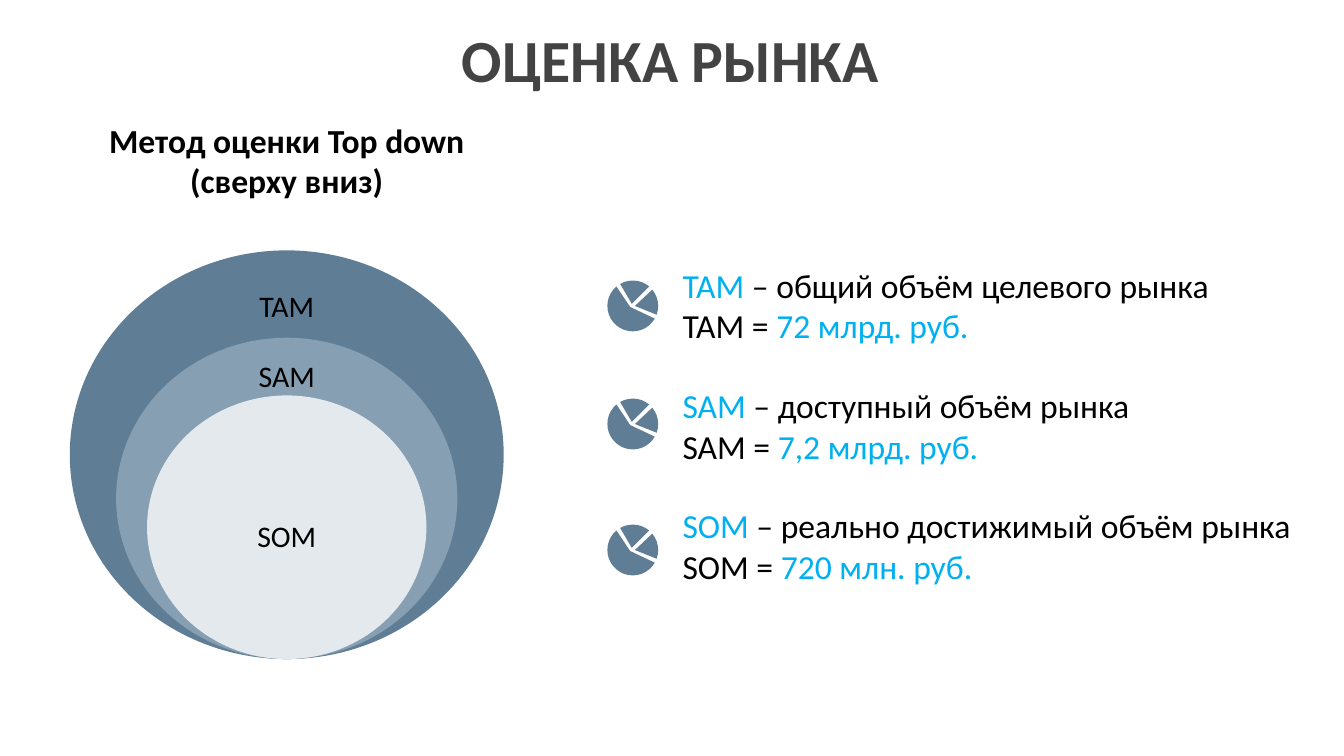
from dataclasses import dataclass
from math import cos, radians, sin

from pptx import Presentation
from pptx import util as u
from pptx.dml import color
from pptx.enum import shapes, text


@dataclass(frozen=True)
class Theme:
    font: str = "Calibri"
    title: str = "434343"
    ink: str = "000000"
    accent: str = "00B0F0"
    dark: str = "5F7D95"
    mid: str = "869FB2"
    pale: str = "E3E9ED"
    large: int = 32
    body: int = 18
    label: int = 16


theme = Theme()


def write(par, words, size, tint, bold=False):
    run = par.add_run()
    run.text = words
    run.font.name = theme.font
    run.font.size = u.Pt(size)
    run.font.bold = bold
    run.font.color.rgb = color.RGBColor.from_string(tint)


def paint(shape, tint):
    shape.shadow.inherit = False
    shape.fill.solid()
    shape.fill.fore_color.rgb = color.RGBColor.from_string(tint)
    shape.line.fill.background()


deck = Presentation()
deck.slide_width, deck.slide_height = u.Cm(25.4), u.Cm(14.28)
slide = deck.slides.add_slide(deck.slide_layouts[5])

# Title
title = slide.shapes.title
title.left, title.top = u.Cm(2.82), u.Cm(0.18)
title.width, title.height = u.Cm(19.71), u.Cm(2.62)
frame = title.text_frame
frame.margin_top = frame.margin_bottom = u.Cm(0.25)
frame.vertical_anchor = text.MSO_ANCHOR.TOP
frame.paragraphs[0].alignment = text.PP_ALIGN.CENTER
write(frame.paragraphs[0], "ОЦЕНКА РЫНКА", theme.large, theme.title, True)

# Nested ovals that share a centre line and a base
axis, base = 5.42, 12.45
ovals = slide.shapes.add_group_shape()
for wide, high, tint in [
    (8.2, 7.72, theme.dark),
    (6.45, 6.07, theme.mid),
    (5.28, 4.98, theme.pale),
]:
    oval = ovals.shapes.add_shape(
        shapes.MSO_SHAPE.OVAL,
        u.Cm(axis - wide / 2), u.Cm(base - high), u.Cm(wide), u.Cm(high))
    paint(oval, tint)

# Oval labels and the heading above them
for words, mid, wide, high, size, bold in [
    ("TAM", 5.78, 1.94, 0.94, theme.label, False),
    ("SAM", 7.1, 1.76, 0.9, theme.label, False),
    ("SOM", 10.12, 4.54, 2.2, theme.label, False),
    ("Метод оценки Top down (сверху вниз)", 3.02, 8.6, 1.12, theme.body, True),
]:
    box = slide.shapes.add_textbox(
        u.Cm(axis - wide / 2), u.Cm(mid - high / 2), u.Cm(wide), u.Cm(high))
    frame = box.text_frame
    frame.word_wrap = True
    frame.vertical_anchor = text.MSO_ANCHOR.MIDDLE
    frame.paragraphs[0].alignment = text.PP_ALIGN.CENTER
    write(frame.paragraphs[0], words, size, theme.ink, bold)

# Market definitions, each with a pie icon
hub, radius, step = 11.96, 0.48, 10
# Tip offset from the hub, then start and end angle, clockwise from the right
wedges = [(-0.05, 0.02, 30, 230), (-0.02, -0.04, 240, 310), (0.04, 0, 320, 380)]
markets = [
    ("TAM", "общий объём целевого рынка", "72 млрд. руб.", 5.78),
    ("SAM", "доступный объём рынка", "7,2 млрд. руб.", 8.01),
    ("SOM", "реально достижимый объём рынка", "720 млн. руб.", 10.39),
]
for row, (name, sense, value, mid) in enumerate(markets):
    box = slide.shapes.add_textbox(
        u.Cm(12.65), u.Cm(4.88 + 2.27 * row), u.Cm(12.7), u.Cm(1.8))
    frame = box.text_frame
    frame.word_wrap = True
    first, second = frame.paragraphs[0], frame.add_paragraph()
    write(first, name, theme.body, theme.accent)
    write(first, f" – {sense}", theme.body, theme.ink)
    write(second, f"{name} = ", theme.body, theme.ink)
    write(second, value, theme.body, theme.accent)

    icon = slide.shapes.add_group_shape()
    for across, down, start, end in wedges:
        rim = [
            (u.Cm(hub + radius * cos(radians(turn))),
             u.Cm(mid + radius * sin(radians(turn))))
            for turn in range(start, end + 1, step)
        ]
        pen = icon.shapes.build_freeform(u.Cm(hub + across), u.Cm(mid + down))
        pen.add_line_segments(rim, close=True)
        paint(pen.convert_to_shape(), theme.dark)

deck.save("out.pptx")
